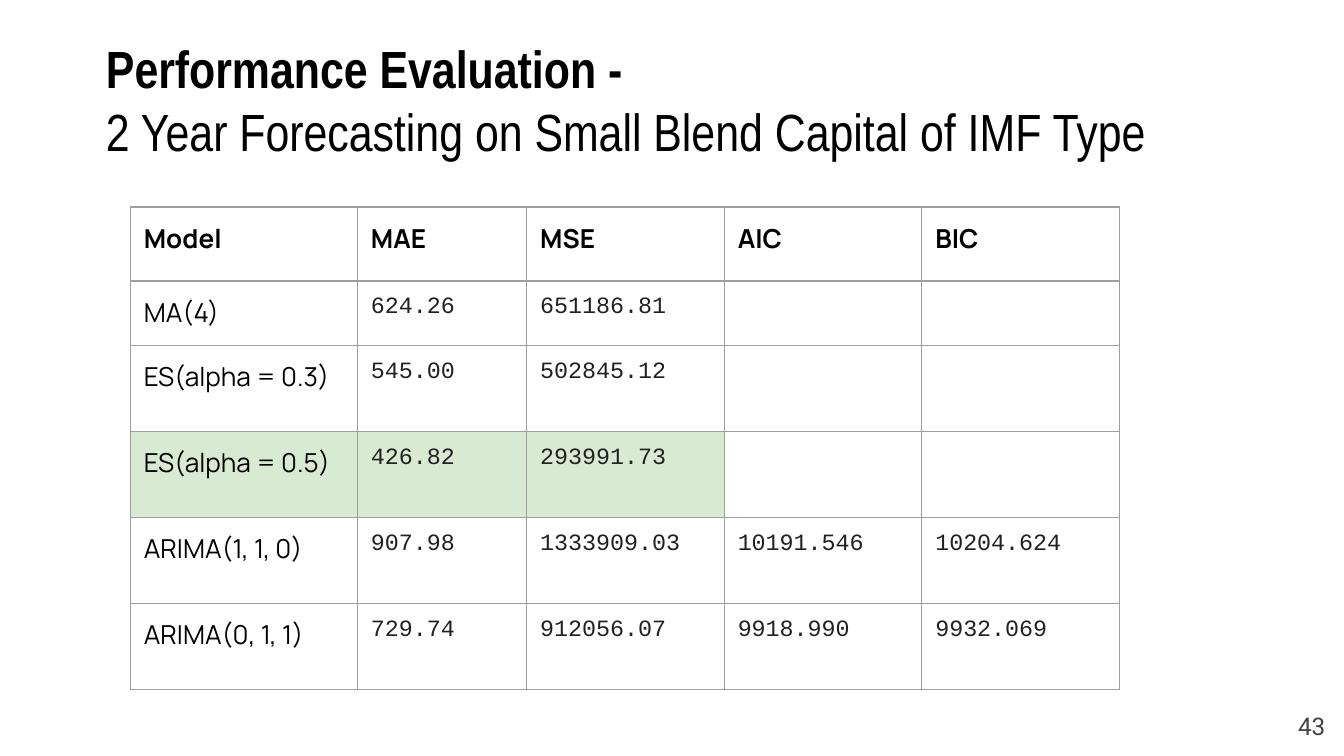
import dataclasses

import pptx
import pptx.dml.color
import pptx.enum.text
import pptx.oxml
import pptx.oxml.ns
import pptx.util
from pptx.util import Inches

ALIGN = pptx.enum.text.PP_ALIGN
ANCHOR = pptx.enum.text.MSO_ANCHOR


def text_format(name, size, color, bold=False):
    return {"name": name, "size": pptx.util.Pt(size), "bold": bold, "color": color}


@dataclasses.dataclass(frozen=True)
class Theme:
    border: str = "9E9E9E"
    border_width: float = 0.75
    highlight: str = "D9EAD3"
    inset: float = 0.1

    heading = text_format("Arial Narrow", 28, "000000", bold=True)
    subheading = text_format("Arial Narrow", 28, "000000")
    page_number = text_format("Roboto", 13, "434343")
    column_name = text_format("Manrope", 14, "000000", bold=True)
    model_name = text_format("Manrope", 14, "000000")
    score = text_format("Courier New", 12.5, "212121")


THEME = Theme()

COLUMN_WIDTHS = [1.69, 1.26, 1.47, 1.47, 1.47]
ROW_HEIGHTS = [0.55, 0.48, 0.64, 0.64, 0.64, 0.64]
RESULTS = [
    ["Model", "MAE", "MSE", "AIC", "BIC"],
    ["MA(4)", "624.26", "651186.81", "", ""],
    ["ES(alpha = 0.3)", "545.00", "502845.12", "", ""],
    ["ES(alpha = 0.5)", "426.82", "293991.73", "", ""],
    ["ARIMA(1, 1, 0)", "907.98", "1333909.03", "10191.546", "10204.624"],
    ["ARIMA(0, 1, 1)", "729.74", "912056.07", "9918.990", "9932.069"],
]
BEST_MODEL = "ES(alpha = 0.5)"


def rgb(color):
    return pptx.dml.color.RGBColor.from_string(color)


def apply_format(font, values):
    for key, value in values.items():
        if key == "color":
            font.color.rgb = rgb(value)
        else:
            setattr(font, key, value)


def set_margins(target):
    for side in ("left", "top", "right", "bottom"):
        setattr(target, f"margin_{side}", Inches(THEME.inset))


def add_text(page, bounds, lines, align=ALIGN.LEFT, anchor=ANCHOR.TOP):
    """Add a text box with one paragraph per (text, format) pair."""
    box = page.shapes.add_textbox(*map(Inches, bounds))
    frame = box.text_frame
    frame.word_wrap = True
    frame.vertical_anchor = anchor
    set_margins(frame)
    for index, (text, values) in enumerate(lines):
        para = frame.add_paragraph() if index else frame.paragraphs[0]
        para.alignment = align
        span = para.add_run()
        span.text = text
        apply_format(span.font, values)


def add_borders(cell):
    properties = cell._tc.get_or_add_tcPr()
    width = pptx.util.Pt(THEME.border_width)
    for side in "LRTB":
        properties.append(pptx.oxml.parse_xml(
            f'<a:ln{side} {pptx.oxml.ns.nsdecls("a")} w="{width}"><a:solidFill>'
            f'<a:srgbClr val="{THEME.border}"/></a:solidFill></a:ln{side}>'
        ))


def fill_cell(cell, text, values, highlighted):
    set_margins(cell)
    add_borders(cell)
    if highlighted:
        cell.fill.solid()
        cell.fill.fore_color.rgb = rgb(THEME.highlight)
    else:
        cell.fill.background()
    para = cell.text_frame.paragraphs[0]
    if text:
        span = para.add_run()
        span.text = text
        apply_format(span.font, values)
    else:
        apply_format(para.font, values)


def cell_format(row, column):
    if row == 0:
        return THEME.column_name
    return THEME.score if column else THEME.model_name


def add_results_table(page, left, top):
    frame = page.shapes.add_table(
        len(ROW_HEIGHTS), len(COLUMN_WIDTHS), Inches(left), Inches(top),
        Inches(sum(COLUMN_WIDTHS)), Inches(sum(ROW_HEIGHTS)))
    table = frame.table
    table.first_row = False
    table.horz_banding = False
    for column, width in zip(table.columns, COLUMN_WIDTHS):
        column.width = Inches(width)
    for row, height in zip(table.rows, ROW_HEIGHTS):
        row.height = Inches(height)
    for row, texts in enumerate(RESULTS):
        for column, text in enumerate(texts):
            highlighted = texts[0] == BEST_MODEL and text != ""
            fill_cell(table.cell(row, column), text, cell_format(row, column), highlighted)


def main():
    deck = pptx.Presentation()
    deck.slide_width = Inches(10)
    deck.slide_height = deck.slide_width * 9 // 16
    page = deck.slides.add_slide(deck.slide_layouts[6])
    add_text(page, (0.69, 0.42, 7.95, 0.63), [
        ("Performance Evaluation -", THEME.heading),
        ("2 Year Forecasting on Small Blend Capital of IMF Type", THEME.subheading),
    ], anchor=ANCHOR.MIDDLE)
    add_text(page, (9.36, 5.19, 0.6, 0.43), [("43", THEME.page_number)], align=ALIGN.RIGHT)
    add_results_table(page, 0.97, 1.54)
    deck.save("out.pptx")


if __name__ == "__main__":
    main()
